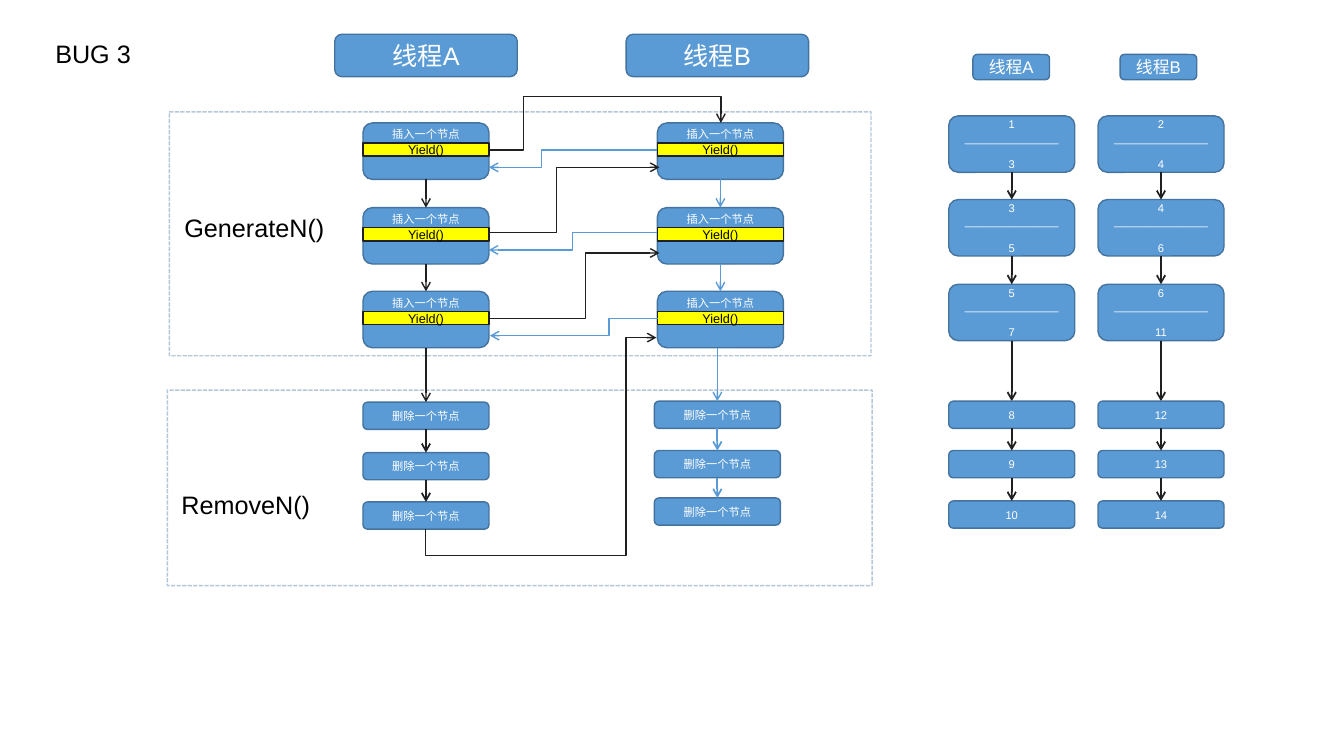
"""Build the BUG 3 slide: how two threads interleave GenerateN() and RemoveN()."""
from dataclasses import dataclass
from itertools import pairwise

from lxml import etree
from pptx import Presentation
from pptx.dml.color import RGBColor
from pptx.enum import dml, shapes, text
from pptx.oxml.ns import qn
from pptx.util import Inches, Pt

BLUE, EDGE, DARK = "5B9BD5", "43739E", "202020"
WHITE, BLACK, YELLOW = "FFFFFF", "000000", "FFFF00"
ROUND = shapes.MSO_SHAPE.ROUNDED_RECTANGLE
PLAIN = shapes.MSO_SHAPE.RECTANGLE
HEADER = shapes.MSO_SHAPE.FLOWCHART_ALTERNATE_PROCESS

STEP_WIDTH, INSERT_HEIGHT, REMOVE_HEIGHT = 1.25, 0.56, 0.27
INSERT_TOPS = (1.22, 2.06, 2.89)
ORDER_TOPS = (1.15, 1.98, 2.82)


@dataclass(frozen=True)
class Thread:
    """A thread's column of insert and remove steps."""
    left: float
    remove_left: float
    remove_tops: tuple[float, ...]
    color: str


@dataclass(frozen=True)
class Order:
    """A thread's column of node numbers."""
    left: float
    inserts: tuple[tuple[str, str], ...]
    removes: tuple[str, ...]


@dataclass(frozen=True)
class Switch:
    """A jump between threads; bends are the coordinates where it turns."""
    start: tuple[float, float]
    end: tuple[float, float]
    bends: tuple[float, ...]
    color: str
    starts_down: bool = False


THREADS = (
    Thread(3.6, 3.6, (3.99, 4.49, 4.98), DARK),
    Thread(6.52, 6.49, (3.98, 4.47, 4.94), BLUE),
)
ORDERS = (
    Order(9.41, (("1", "3"), ("3", "5"), ("5", "7")), ("8", "9", "10")),
    Order(10.89, (("2", "4"), ("4", "6"), ("6", "11")), ("12", "13", "14")),
)
SWITCHES = (
    Switch((4.85, 1.49), (7.15, 1.22), (5.19, 0.96), DARK),
    Switch((6.52, 1.49), (4.85, 1.66), (5.37,), BLUE),
    Switch((4.85, 2.31), (6.54, 1.66), (5.52,), DARK),
    Switch((6.52, 2.31), (4.85, 2.48), (5.68,), BLUE),
    Switch((4.85, 3.16), (6.54, 2.51), (5.81,), DARK),
    Switch((6.53, 3.16), (4.86, 3.33), (6.04,), BLUE),
    Switch((4.22, 5.25), (6.51, 3.35), (5.51, 6.21), DARK, starts_down=True),
)

deck = Presentation()
deck.slide_width, deck.slide_height = Inches(13.33), Inches(7.5)
slide = deck.slides.add_slide(deck.slide_layouts[6])


def rgb(value: str) -> RGBColor:
    """Turn a hex string into a colour."""
    return RGBColor.from_string(value)


def write(target, *lines: str, size: float = 8, color: str = WHITE,
          align=text.PP_ALIGN.CENTER, anchor=text.MSO_ANCHOR.MIDDLE,
          wrap: bool = True, top: float = 0.05, last_gap: float = 0) -> None:
    """Write one paragraph per line, with a gap in points before the last."""
    frame = target.text_frame
    frame.word_wrap, frame.vertical_anchor = wrap, anchor
    frame.margin_top = Inches(top)
    for number, line in enumerate(lines):
        paragraph = frame.add_paragraph() if number else frame.paragraphs[0]
        paragraph.alignment = align
        run = paragraph.add_run()
        run.text = line
        run.font.name, run.font.size = "Arial", Pt(size)
        run.font.color.rgb = rgb(color)
    if last_gap:
        paragraph.space_before = Pt(last_gap)


def box(kind, left: float, top: float, width: float, height: float,
        fill: str | None = BLUE, edge: str = EDGE):
    """Add an outlined preset shape."""
    shape = slide.shapes.add_shape(
        kind, Inches(left), Inches(top), Inches(width), Inches(height))
    shape.shadow.inherit = False
    if fill:
        shape.fill.solid()
        shape.fill.fore_color.rgb = rgb(fill)
    else:
        shape.fill.background()
    shape.line.color.rgb, shape.line.width = rgb(edge), Pt(1)
    return shape


def region(left: float, top: float, width: float, height: float) -> None:
    """Add a faint dashed frame around one phase."""
    frame = box(PLAIN, left, top, width, height, fill=None)
    frame.line.dash_style = dml.MSO_LINE.SQUARE_DOT
    shade = frame.line._ln.find(".//" + qn("a:srgbClr"))
    etree.SubElement(shade, qn("a:alpha")).set("val", "40000")


def label(content: str, left: float, top: float, width: float,
          wrap: bool = False) -> None:
    """Add a plain caption."""
    caption = slide.shapes.add_textbox(
        Inches(left), Inches(top), Inches(width), Inches(0.4))
    write(caption, content, size=18, color=BLACK, wrap=wrap,
          align=text.PP_ALIGN.LEFT, anchor=text.MSO_ANCHOR.TOP)


def arrow(start: tuple[float, float], end: tuple[float, float], color: str,
          width: float = 1, kind=shapes.MSO_CONNECTOR.STRAIGHT):
    """Add a connector with an open head at its end."""
    connector = slide.shapes.add_connector(kind, *map(Inches, start + end))
    connector.line.color.rgb, connector.line.width = rgb(color), Pt(width)
    etree.SubElement(connector.line._ln, qn("a:tailEnd")).set("type", "arrow")
    etree.SubElement(connector._element.spPr, qn("a:effectLst"))
    return connector


def switch(jump: Switch) -> None:
    """Draw a bent arrow whose turns fall on the given coordinates."""
    (x1, y1), (x2, y2) = jump.start, jump.end
    axes = [(x1, x2), (y1, y2)]
    start, end = jump.start, jump.end
    if jump.starts_down:
        axes.reverse()
        mid_x, mid_y = (x1 + x2) / 2, (y1 + y2) / 2
        half_width, half_height = (y2 - y1) / 2, (x2 - x1) / 2
        start = (mid_x - half_width, mid_y + half_height)
        end = (mid_x + half_width, mid_y - half_height)
    connector = arrow(start, end, jump.color, kind=shapes.MSO_CONNECTOR.ELBOW)
    properties = connector._element.spPr
    if jump.starts_down:
        properties.find(qn("a:xfrm")).set("rot", "5400000")
    geometry = properties.find(qn("a:prstGeom"))
    geometry.set("prst", f"bentConnector{len(jump.bends) + 2}")
    guides = geometry.find(qn("a:avLst"))
    for number, (bend, (near, far)) in enumerate(zip(jump.bends, axes), 1):
        ratio = round((bend - near) / (far - near) * 100000)
        etree.SubElement(guides, qn("a:gd"), name=f"adj{number}", fmla=f"val {ratio}")


def chain(x: float, tops: tuple[float, ...], height: float, color: str,
          width: float) -> None:
    """Join each step to the next one below it."""
    for upper, lower in pairwise(tops):
        arrow((x, upper + height), (x, lower), color, width)


def steps(left: float, tops: tuple[float, ...], names: tuple[str, ...],
          color: str) -> None:
    """Draw a column of one-line steps and its arrows."""
    for top, name in zip(tops, names):
        write(box(ROUND, left, top, STEP_WIDTH, REMOVE_HEIGHT), name)
    chain(left + STEP_WIDTH / 2, tops, REMOVE_HEIGHT, color, 1.25)


region(1.68, 1.11, 6.96, 2.42)
region(1.66, 3.87, 6.99, 1.94)
label("BUG 3", 0.45, 0.33, 1.63, wrap=True)
label("GenerateN()", 1.73, 2.06, 1.59)
label("RemoveN()", 1.7, 4.81, 1.48)

for name, left, small_left in (("线程A", 3.32, 9.65), ("线程B", 6.21, 11.11)):
    write(box(HEADER, left, 0.34, 1.81, 0.42), name, size=18)
    write(box(HEADER, small_left, 0.54, 0.76, 0.25), name, size=12)

for thread in THREADS:
    for top in INSERT_TOPS:
        insert = box(ROUND, thread.left, top, STEP_WIDTH, INSERT_HEIGHT)
        write(insert, "插入一个节点", anchor=text.MSO_ANCHOR.TOP, top=0.02)
        pause = box(PLAIN, thread.left, top + 0.2, STEP_WIDTH, 0.13, YELLOW, DARK)
        write(pause, "Yield()", size=9, color=BLACK)
    chain(thread.left + STEP_WIDTH / 2, INSERT_TOPS, INSERT_HEIGHT, thread.color, 1)
    steps(thread.remove_left, thread.remove_tops, ("删除一个节点",) * 3, thread.color)
    center = thread.remove_left + STEP_WIDTH / 2
    arrow((center, INSERT_TOPS[-1] + INSERT_HEIGHT),
          (center, thread.remove_tops[0]), thread.color)

for order in ORDERS:
    for top, (first, last) in zip(ORDER_TOPS, order.inserts):
        insert = box(ROUND, order.left, top, STEP_WIDTH, INSERT_HEIGHT)
        write(insert, first, "_" * 15, last, last_gap=9.2)
    center, remove_tops = order.left + STEP_WIDTH / 2, (3.98, 4.47, 4.97)
    chain(center, ORDER_TOPS + remove_tops[:1], INSERT_HEIGHT, DARK, 1.25)
    steps(order.left, remove_tops, order.removes, DARK)

for jump in SWITCHES:
    switch(jump)

deck.save("out.pptx")
